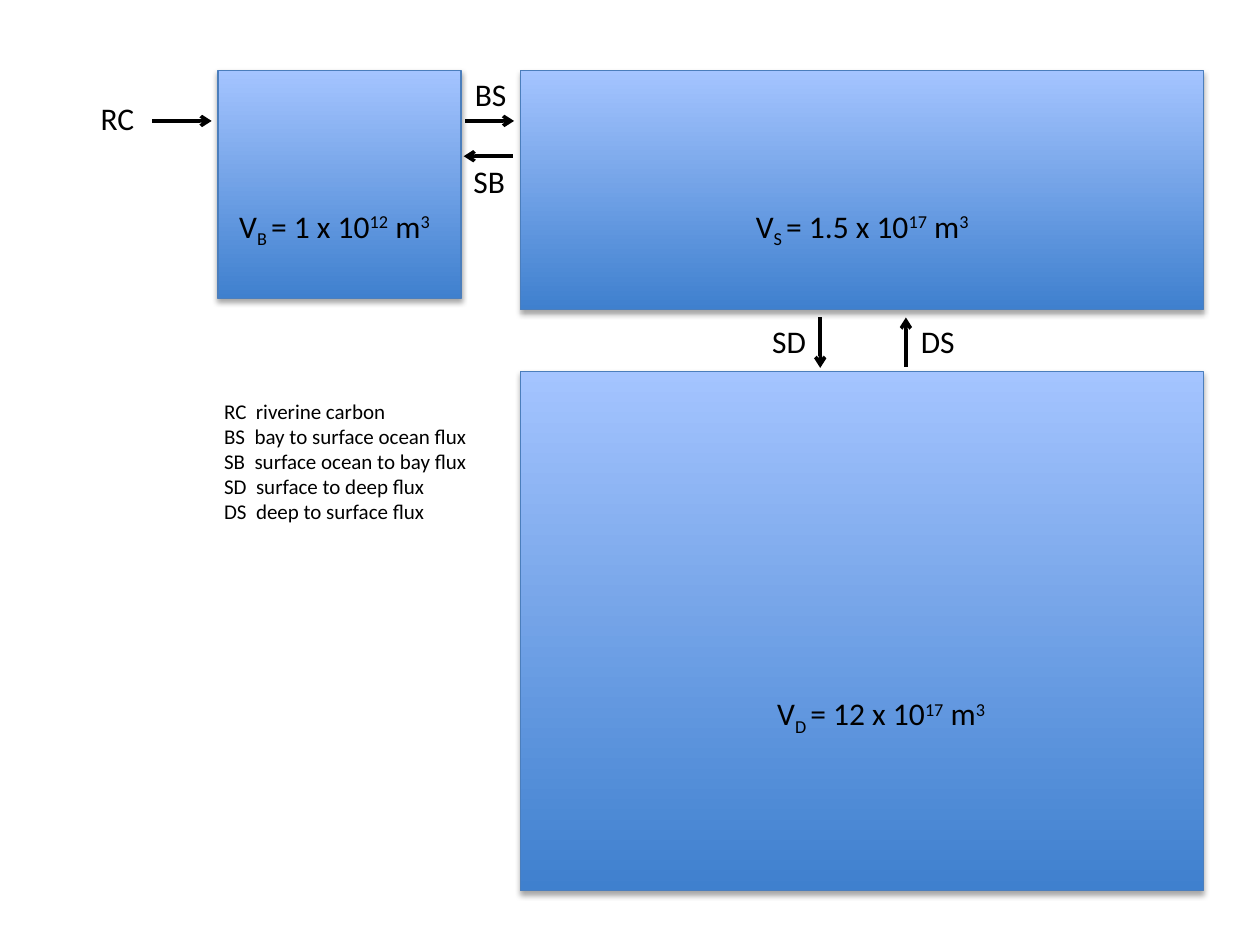
from lxml import etree
from pptx import Presentation, util as u
from pptx.dml.color import RGBColor
from pptx.enum import shapes, text
from pptx.oxml import parse_xml
from pptx.oxml.ns import qn

PX = 9144  # 100 px to the inch
NS = 'xmlns:a="http://schemas.openxmlformats.org/drawingml/2006/main"'
SHADOW = (f'<a:outerShdw {NS} blurRad="40000" dist="23000" dir="5400000" rotWithShape="0">'
          '<a:srgbClr val="000000"><a:alpha val="35000"/></a:srgbClr></a:outerShdw>')


def color(code):
    return RGBColor.from_string(code)


def label(x, y, w, h, lines, size):
    """Each line is a list of (text, baseline) pieces."""
    box = slide.shapes.add_textbox(x * PX, y * PX, w * PX, h * PX)
    frame = box.text_frame
    frame.word_wrap = False
    frame.auto_size = text.MSO_AUTO_SIZE.SHAPE_TO_FIT_TEXT
    for i, line in enumerate(lines):
        para = frame.add_paragraph() if i else frame.paragraphs[0]
        para.font.size = u.Pt(size)
        para.font.name = "Calibri"
        para.font.color.rgb = color("000000")
        for piece, base in line:
            run = para.add_run()
            run.text = piece
            if base:
                run.font._element.set("baseline", str(base * 1000))


prs = Presentation()
prs.slide_width, prs.slide_height = 1000 * PX, 750 * PX
slide = prs.slides.add_slide(prs.slide_layouts[6])

# Reservoirs: bay, surface ocean, deep ocean
for x, y, w, h in [(173, 56, 193, 181), (413, 56, 542, 190), (413, 295, 542, 412)]:
    tank = slide.shapes.add_shape(shapes.MSO_SHAPE.RECTANGLE, x * PX, y * PX, w * PX, h * PX)
    tank.fill.gradient()
    tank.fill.gradient_angle = 90
    for stop, code in zip(tank.fill.gradient_stops, ["3F80CE", "A4C4FF"]):
        stop.color.rgb = color(code)
    tank.line.color.rgb = color("4B7EBC")
    tank.line.width = u.Pt(0.75)
    tank.shadow.inherit = False
    tank._element.spPr.find(qn("a:effectLst")).append(parse_xml(SHADOW))

# Flux arrows
for x1, y1, x2, y2 in [(121, 96, 168, 96), (369, 96, 408, 96), (407, 124, 368, 124),
                       (651, 252, 651, 292), (719, 291, 719, 252)]:
    arrow = slide.shapes.add_connector(
        shapes.MSO_CONNECTOR.STRAIGHT, x1 * PX, y1 * PX, x2 * PX, y2 * PX)
    arrow.line.color.rgb = color("000000")
    arrow.line.width = u.Pt(2)
    etree.SubElement(arrow.line._get_or_add_ln(), qn("a:tailEnd"), type="arrow")
    etree.SubElement(arrow._element.spPr, qn("a:effectLst"))

# Flux names
for name, x, y, w in [("RC", 70, 74, 48), ("BS", 367, 55, 46), ("SB", 366, 124, 46),
                      ("SD", 603, 251, 47), ("DS", 721, 251, 47)]:
    label(x, y, w, 40, [[(name, 0)]], 18)

# Volumes
for sub, value, power, x, y, w in [("B", "1", "12", 180, 159, 178),
                                   ("S", "1.5", "17", 590, 159, 196),
                                   ("D", "12", "17", 607, 546, 192)]:
    label(x, y, w, 40, [[("V", 0), (f"{sub} ", -25), (f"= {value} x 10", 0),
                         (power, 30), (" m", 0), ("3", 30)]], 18)

# Legend
terms = ["RC  riverine carbon", "BS  bay to surface ocean flux", "SB  surface ocean to bay flux",
         "SD  surface to deep flux", "DS  deep to surface flux"]
label(168, 311, 215, 111, [[(term, 0)] for term in terms], 12)

prs.save("out.pptx")
